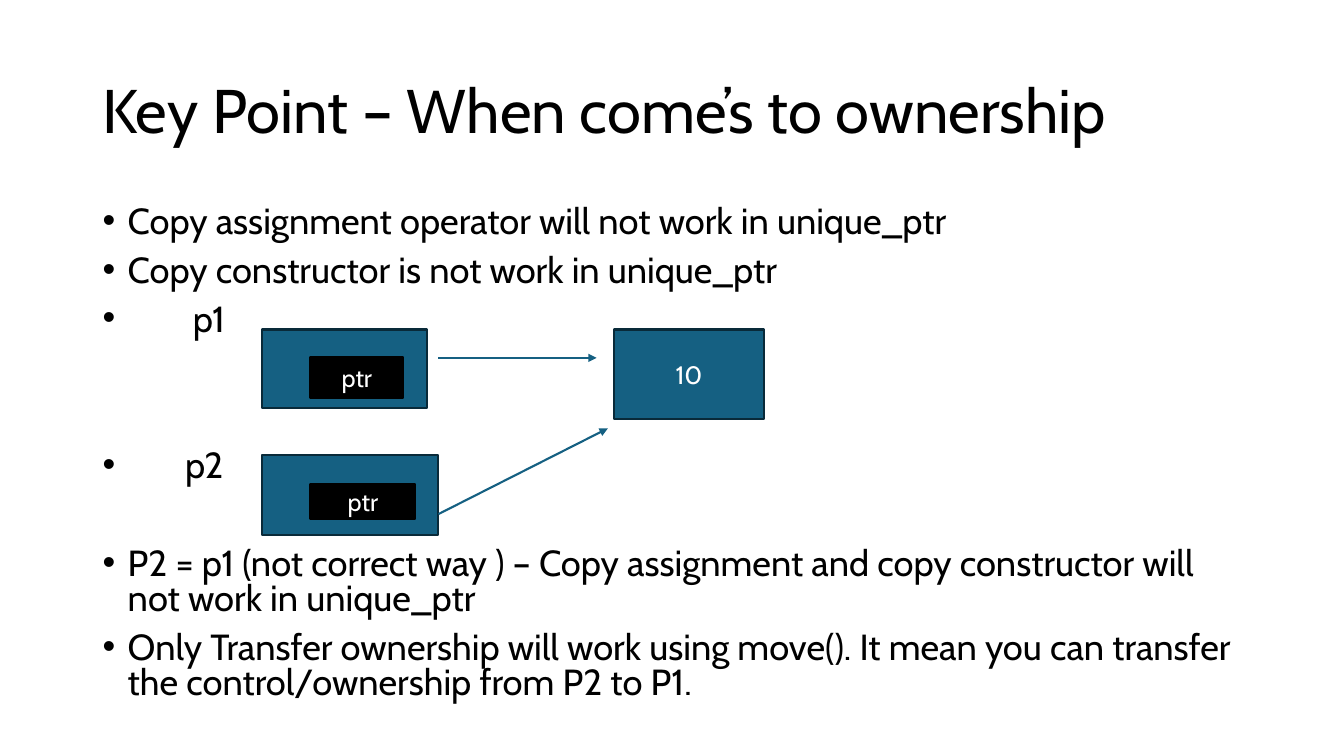
from dataclasses import dataclass

from lxml.etree import SubElement
from pptx import Presentation
from pptx.dml.color import RGBColor
from pptx.enum.shapes import MSO_CONNECTOR as Connector, MSO_SHAPE as Shape
from pptx.enum.text import MSO_ANCHOR as Anchor, PP_ALIGN as Align
from pptx.oxml.ns import qn
from pptx.util import Pt

FONT = "Cabin"
BLACK, WHITE, TEAL, NAVY = "000000", "FFFFFF", "156082", "092A39"
LEFT, WIDTH = 66.2, 828
BULLET_INDENT = 18
PARA_GAP = 10
EMPTY_ROW = 35  # height of one unused text row beside the diagram


@dataclass
class Bullet:
    text: str
    indent: float = BULLET_INDENT
    rows_above: int = 0


@dataclass
class Block:
    left: float
    top: float
    width: float
    height: float
    fill: str = TEAL
    line: str = NAVY
    label: str = ""


@dataclass
class Arrow:
    x1: float
    y1: float
    x2: float
    y2: float


BULLETS = [
    Bullet("Copy assignment operator will not work in unique_ptr"),
    Bullet("Copy constructor is not work in unique_ptr"),
    Bullet("p1", indent=64.5),
    Bullet("p2", indent=59, rows_above=2),
    Bullet("P2 = p1 (not correct way ) – Copy assignment and copy constructor "
           "will not work in unique_ptr", rows_above=1),
    Bullet("Only Transfer ownership will work using move(). It mean you can "
           "transfer the control/ownership from P2 to P1."),
]
BLOCKS = [
    Block(187.2, 235.4, 118.1, 56.2),
    Block(221.8, 254.9, 66.2, 29.5, BLACK, BLACK, "ptr"),
    Block(438.5, 235.4, 107.3, 64.1, label="10"),
    Block(187.2, 324.7, 126, 57.6),
    Block(221.8, 345.6, 74.9, 25.2, BLACK, BLACK, "ptr"),
]
ARROWS = [
    Arrow(313.2, 255.6, 426.2, 255.6),
    Arrow(313.2, 367.2, 434.2, 306),
]


def rgb(value: str) -> RGBColor:
    return RGBColor.from_string(value)


def style_text(para, size: float, color: str) -> None:
    for span in para.runs:
        span.font.name = FONT
        span.font.size = Pt(size)
        span.font.color.rgb = rgb(color)


def add_text_frame(page, top: float, height: float):
    box = page.shapes.add_textbox(Pt(LEFT), Pt(top), Pt(WIDTH), Pt(height))
    box.text_frame.word_wrap = True
    return box.text_frame


def add_title(page, text: str) -> None:
    frame = add_text_frame(page, 28.8, 104.4)
    frame.vertical_anchor = Anchor.MIDDLE
    frame.text = text
    para = frame.paragraphs[0]
    para.line_spacing = 0.9
    style_text(para, 44, BLACK)


def add_bullets(page, bullets: list[Bullet]) -> None:
    frame = add_text_frame(page, 144, 383)
    frame.text = "\n".join(bullet.text for bullet in bullets)
    for para, bullet in zip(frame.paragraphs, bullets):
        para.line_spacing = 0.8
        para.space_before = Pt(PARA_GAP + bullet.rows_above * EMPTY_ROW)
        style_text(para, 25.9, BLACK)
        properties = para._p.get_or_add_pPr()
        properties.set("marL", str(Pt(bullet.indent)))
        properties.set("indent", str(-Pt(bullet.indent)))
        SubElement(properties, qn("a:buFont"), typeface="Arial")
        SubElement(properties, qn("a:buChar"), char="•")


def add_block(page, block: Block) -> None:
    shape = page.shapes.add_shape(Shape.RECTANGLE, Pt(block.left), Pt(block.top),
                                  Pt(block.width), Pt(block.height))
    shape.shadow.inherit = False
    shape.fill.solid()
    shape.fill.fore_color.rgb = rgb(block.fill)
    shape.line.color.rgb = rgb(block.line)
    shape.line.width = Pt(1.5)
    if block.label:
        shape.text_frame.text = block.label
        shape.text_frame.vertical_anchor = Anchor.MIDDLE
        para = shape.text_frame.paragraphs[0]
        para.alignment = Align.CENTER
        style_text(para, 18, WHITE)


def add_arrow(page, arrow: Arrow) -> None:
    connector = page.shapes.add_connector(Connector.STRAIGHT, Pt(arrow.x1), Pt(arrow.y1),
                                          Pt(arrow.x2), Pt(arrow.y2))
    connector.line.color.rgb = rgb(TEAL)
    connector.line.width = Pt(1.5)
    SubElement(connector.line._get_or_add_ln(), qn("a:tailEnd"), type="triangle")
    SubElement(connector._element.spPr, qn("a:effectLst"))


def main() -> None:
    deck = Presentation()
    deck.slide_width, deck.slide_height = Pt(960), Pt(540)
    page = deck.slides.add_slide(deck.slide_layouts[6])

    # Text
    add_title(page, "Key Point – When come’s to ownership")
    add_bullets(page, BULLETS)

    # Pointer diagram
    for block in BLOCKS:
        add_block(page, block)
    for arrow in ARROWS:
        add_arrow(page, arrow)

    deck.save("out.pptx")


if __name__ == "__main__":
    main()
